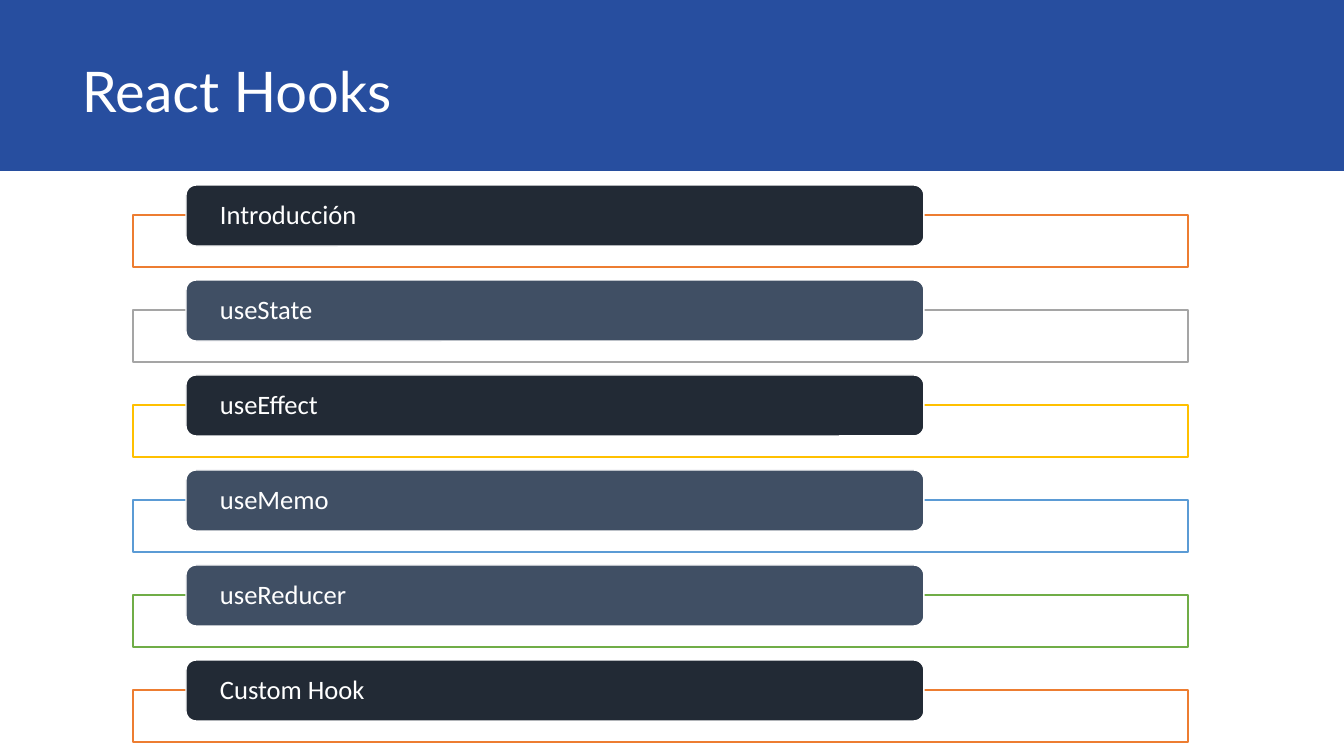
from lxml import etree
from pptx import Presentation
from pptx.dml.color import RGBColor
from pptx.enum.shapes import MSO_SHAPE
from pptx.enum.text import MSO_ANCHOR, MSO_AUTO_SIZE, PP_ALIGN
from pptx.oxml.ns import qn
from pptx.util import Pt

RECTANGLE = MSO_SHAPE.RECTANGLE
ROUNDED = MSO_SHAPE.ROUNDED_RECTANGLE
MIDDLE = MSO_ANCHOR.MIDDLE
TOP = MSO_ANCHOR.TOP
GROW = MSO_AUTO_SIZE.SHAPE_TO_FIT_TEXT
FIXED = MSO_AUTO_SIZE.NONE
LEFT = PP_ALIGN.LEFT

EMU_PER_PX = 914400 / 100.8
COLORS = {
    "white": "FFFFFF",
    "blue": "274E9F",
    "dark": "222A35",
    "slate": "404F64",
    "orange": "ED7D31",
    "gray": "A5A5A5",
    "gold": "FFC000",
    "sky": "5B9BD5",
    "green": "70AD47",
}
TOPICS = [
    ("Introducción", "dark", "orange"),
    ("useState", "slate", "gray"),
    ("useEffect", "dark", "gold"),
    ("useMemo", "slate", "sky"),
    ("useReducer", "slate", "green"),
    ("Custom Hook", "dark", "orange"),
]
FIRST_TOPIC_TOP = 185
TOPIC_PITCH = 95


def px(length):
    """Turn pixels into EMU."""
    return round(length * EMU_PER_PX)


def color(name):
    """Look up a named colour."""
    return RGBColor.from_string(COLORS[name])


def assign(target, formats):
    """Set every attribute in formats on target."""
    for name, value in formats.items():
        setattr(target, name, value)


class TopicSlide:
    """Draw styled elements on one slide."""

    title_font = {"name": "Lato", "size": Pt(40)}
    topic_font = {"name": "Calibri", "size": Pt(19)}
    title_frame = {"word_wrap": True, "auto_size": GROW, "vertical_anchor": TOP}
    topic_frame = {
        "word_wrap": True,
        "auto_size": FIXED,
        "vertical_anchor": MIDDLE,
        "margin_left": px(31),
        "margin_right": px(31),
        "margin_top": 0,
        "margin_bottom": 0,
    }

    def __init__(self, slide):
        """Keep the slide to draw on."""
        self.shapes = slide.shapes

    def box(self, kind, bounds, fill, line=None, opacity=None):
        """Add a filled shape with an optional outline and opacity."""
        box = self.shapes.add_shape(kind, *map(px, bounds))
        box.shadow.inherit = False
        box.fill.solid()
        box.fill.fore_color.rgb = color(fill)
        if opacity:
            tint = box.element.spPr.find(f"{qn('a:solidFill')}/{qn('a:srgbClr')}")
            etree.SubElement(tint, qn("a:alpha"), val=str(opacity * 1000))
        if line:
            box.line.color.rgb = color(line)
            box.line.width = Pt(1)
        else:
            box.line.fill.background()
        return box

    def label(self, frame, words, frame_format, font_format, spacing=1.0):
        """Put one white left-aligned paragraph in a text frame."""
        assign(frame, frame_format)
        paragraph = frame.paragraphs[0]
        assign(paragraph, {"alignment": LEFT, "line_spacing": spacing})
        run = paragraph.add_run()
        run.text = words
        assign(run.font, font_format)
        run.font.color.rgb = color("white")

    def title(self, words):
        """Add the banner and its title."""
        self.box(RECTANGLE, (0, 0, 1344, 171), "blue")
        heading = self.shapes.add_textbox(*map(px, (72, 52, 1055, 78)))
        self.label(heading.text_frame, words, self.title_frame, self.title_font)

    def topic(self, top, words, fill, accent):
        """Add an outlined panel with its topic label."""
        self.box(RECTANGLE, (133, top + 30, 1055, 52), "white", accent, 90)
        pill = self.box(ROUNDED, (186, top, 738, 61), fill, "white")
        self.label(pill.text_frame, words, self.topic_frame, self.topic_font, 0.9)


def main():
    """Build and save the presentation."""
    deck = Presentation()
    assign(deck, {"slide_width": px(1344), "slide_height": px(756)})
    hooks = TopicSlide(deck.slides.add_slide(deck.slide_layouts[6]))
    hooks.title("React Hooks")
    for index, (words, fill, accent) in enumerate(TOPICS):
        hooks.topic(FIRST_TOPIC_TOP + index * TOPIC_PITCH, words, fill, accent)
    deck.save("out.pptx")


if __name__ == "__main__":
    main()
